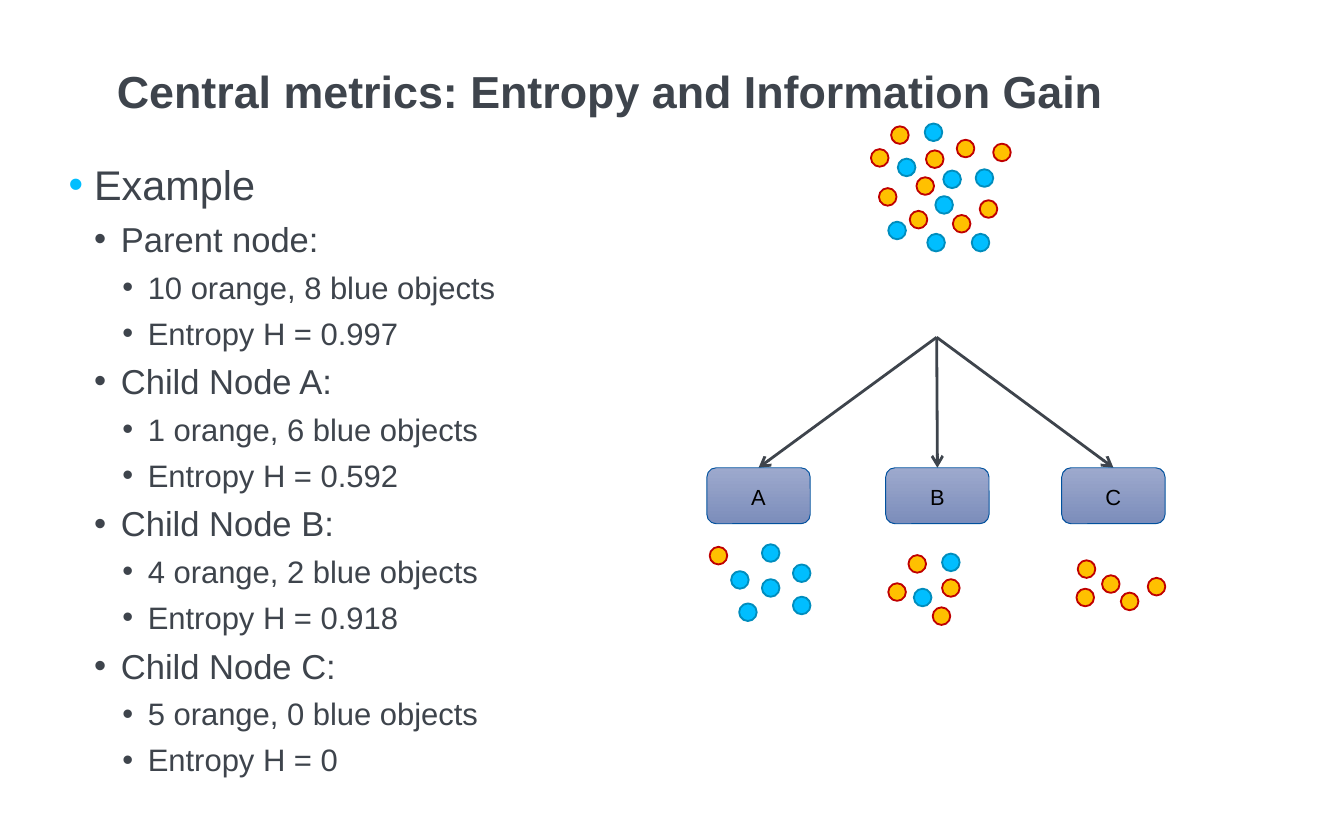
"""Build a slide that explains entropy with a decision tree split."""
from dataclasses import dataclass
from typing import NamedTuple

from lxml import etree
from pptx import Presentation
from pptx import util as u
from pptx.dml import color
from pptx.enum import shapes, text
from pptx.oxml import ns


@dataclass(frozen=True)
class Theme:
    font: str = "Arial"
    ink: str = "3E444C"
    black: str = "000000"
    accent: str = "00BEFF"
    blue_edge: str = "008DBD"
    orange: str = "FFC000"
    orange_edge: str = "C00000"
    node_top: str = "9DA9CD"
    node_bottom: str = "7C8DBB"
    node_edge: str = "00519E"
    title_size: float = 24
    node_size: float = 11.7


class Level(NamedTuple):
    indent: float
    hanging: float
    size: float
    bullet: str


class Node(NamedTuple):
    label: str
    left: float
    blue: list
    orange: list


THEME = Theme()
LEVELS = [
    Level(13.7, 13.7, 22.2, THEME.accent),
    Level(28.1, 14.4, 18.5, THEME.ink),
    Level(42.5, 13.7, 16.6, THEME.ink),
]
SUMMARY = [
    ("Parent node:", "10 orange, 8 blue objects", "Entropy H = 0.997"),
    ("Child Node A:", "1 orange, 6 blue objects", "Entropy H = 0.592"),
    ("Child Node B:", "4 orange, 2 blue objects", "Entropy H = 0.918"),
    ("Child Node C:", "5 orange, 0 blue objects", "Entropy H = 0"),
]
PARENT_BLUE = [(481, 85), (495.4, 66.2), (505.4, 91.4), (501.1, 105.1),
               (522.7, 90.7), (496.8, 125.3), (520.6, 125.3), (475.9, 118.8)]
PARENT_ORANGE = [(496.1, 80.6), (491, 95), (512.6, 74.9), (524.9, 107.3), (510.5, 115.2),
                 (487.4, 113), (470.9, 100.8), (477.4, 67.7), (466.6, 79.9), (532.1, 77)]
CHILDREN = [
    Node("A", 378.7,
         [(424.8, 319.7), (396, 323.3), (408.2, 291.6),
          (408.2, 310.3), (424.8, 302.4), (391.7, 306)],
         [(380.2, 293)]),
    Node("B", 474.5,
         [(489.6, 315.4), (504.7, 296.6)],
         [(504.7, 310.3), (499.7, 325.4), (486.7, 297.4), (475.9, 312.5)]),
    Node("C", 568.8, [],
         [(577.4, 300.2), (614.9, 309.6), (590.4, 308.2), (600.5, 317.5), (576.7, 315.4)]),
]
NODE_TOP, NODE_WIDTH, NODE_HEIGHT = 250.6, 55.4, 30
FORK = (501.8, 180.7)
DOT = 9.4
SPACE_BEFORE = 4.7


def rgb(value: str) -> color.RGBColor:
    return color.RGBColor.from_string(value)


def add_run(paragraph, content: str, size: float, ink: str, bold: bool = False) -> None:
    run = paragraph.add_run()
    run.text = content
    run.font.name = THEME.font
    run.font.size = u.Pt(size)
    run.font.bold = bold
    run.font.color.rgb = rgb(ink)


def place(shape, left: float, top: float, width: float, height: float, anchor) -> None:
    shape.left, shape.top = u.Pt(left), u.Pt(top)
    shape.width, shape.height = u.Pt(width), u.Pt(height)
    frame = shape.text_frame
    frame.margin_left = frame.margin_right = frame.margin_top = frame.margin_bottom = 0
    frame.auto_size = text.MSO_AUTO_SIZE.NONE
    frame.word_wrap = True
    frame.vertical_anchor = anchor


def fill_title(title) -> None:
    place(title, 62.6, 36, 609.8, 28.8, text.MSO_ANCHOR.MIDDLE)
    paragraph = title.text_frame.paragraphs[0]
    paragraph.alignment = text.PP_ALIGN.LEFT
    paragraph.line_spacing = 0.9
    add_run(paragraph, "Central metrics: Entropy and Information Gain",
            THEME.title_size, THEME.ink, bold=True)


def add_item(paragraph, content: str, depth: int) -> None:
    level = LEVELS[depth]
    paragraph.level = depth
    paragraph.space_before = u.Pt(SPACE_BEFORE if depth else 0)
    properties = paragraph._p.get_or_add_pPr()
    properties.set("marL", str(u.Pt(level.indent)))
    properties.set("indent", str(-u.Pt(level.hanging)))
    bullet_color = etree.SubElement(properties, ns.qn("a:buClr"))
    etree.SubElement(bullet_color, ns.qn("a:srgbClr"), val=level.bullet)
    etree.SubElement(properties, ns.qn("a:buFont"), typeface=THEME.font)
    etree.SubElement(properties, ns.qn("a:buChar"), char="•")
    add_run(paragraph, content, level.size, THEME.ink)


def fill_body(body) -> None:
    place(body, 36.7, 85.4, 649.4, 327.2, text.MSO_ANCHOR.TOP)
    frame = body.text_frame
    add_item(frame.paragraphs[0], "Example", 0)
    for heading, *details in SUMMARY:
        add_item(frame.add_paragraph(), heading, 1)
        for detail in details:
            add_item(frame.add_paragraph(), detail, 2)


def add_arrow(slide, start: tuple, end: tuple) -> None:
    arrow = slide.shapes.add_connector(
        shapes.MSO_CONNECTOR.STRAIGHT, *(u.Pt(value) for value in start + end))
    arrow.line.color.rgb = rgb(THEME.ink)
    arrow.line.width = u.Pt(1.5)
    etree.SubElement(arrow.line._get_or_add_ln(), ns.qn("a:tailEnd"), type="arrow")
    etree.SubElement(arrow._element.spPr, ns.qn("a:effectLst"))


def add_shape(slide, kind, left: float, top: float, width: float, height: float,
              edge: str, weight: float):
    shape = slide.shapes.add_shape(
        kind, *(u.Pt(value) for value in (left, top, width, height)))
    shape.shadow.inherit = False
    shape.line.color.rgb = rgb(edge)
    shape.line.width = u.Pt(weight)
    return shape


def add_node(slide, node: Node) -> None:
    shape = add_shape(slide, shapes.MSO_SHAPE.ROUNDED_RECTANGLE, node.left, NODE_TOP,
                      NODE_WIDTH, NODE_HEIGHT, THEME.node_edge, 0.5)
    shape.fill.gradient()
    shape.fill.gradient_angle = 270
    for stop, value in zip(shape.fill.gradient_stops, (THEME.node_top, THEME.node_bottom)):
        stop.color.rgb = rgb(value)
    frame = shape.text_frame
    frame.word_wrap = False
    frame.vertical_anchor = text.MSO_ANCHOR.MIDDLE
    frame.margin_left = frame.margin_right = u.Pt(5.8)
    frame.margin_top, frame.margin_bottom = u.Pt(4.3), u.Pt(2.9)
    paragraph = frame.paragraphs[0]
    paragraph.alignment = text.PP_ALIGN.CENTER
    add_run(paragraph, node.label, THEME.node_size, THEME.black)


def add_dots(slide, blue: list, orange: list) -> None:
    for dots, fill, edge in ((blue, THEME.accent, THEME.blue_edge),
                             (orange, THEME.orange, THEME.orange_edge)):
        for left, top in dots:
            dot = add_shape(slide, shapes.MSO_SHAPE.OVAL, left, top, DOT, DOT, edge, 1)
            dot.fill.solid()
            dot.fill.fore_color.rgb = rgb(fill)


def main() -> None:
    presentation = Presentation()
    presentation.slide_width, presentation.slide_height = u.Pt(720), u.Pt(450)
    slide = presentation.slides.add_slide(presentation.slide_layouts[1])
    fill_title(slide.shapes.title)
    fill_body(slide.placeholders[1])
    add_dots(slide, PARENT_BLUE, PARENT_ORANGE)
    for node in CHILDREN:
        add_arrow(slide, FORK, (node.left + NODE_WIDTH / 2, NODE_TOP))
        add_node(slide, node)
        add_dots(slide, node.blue, node.orange)
    presentation.save("out.pptx")


if __name__ == "__main__":
    main()
